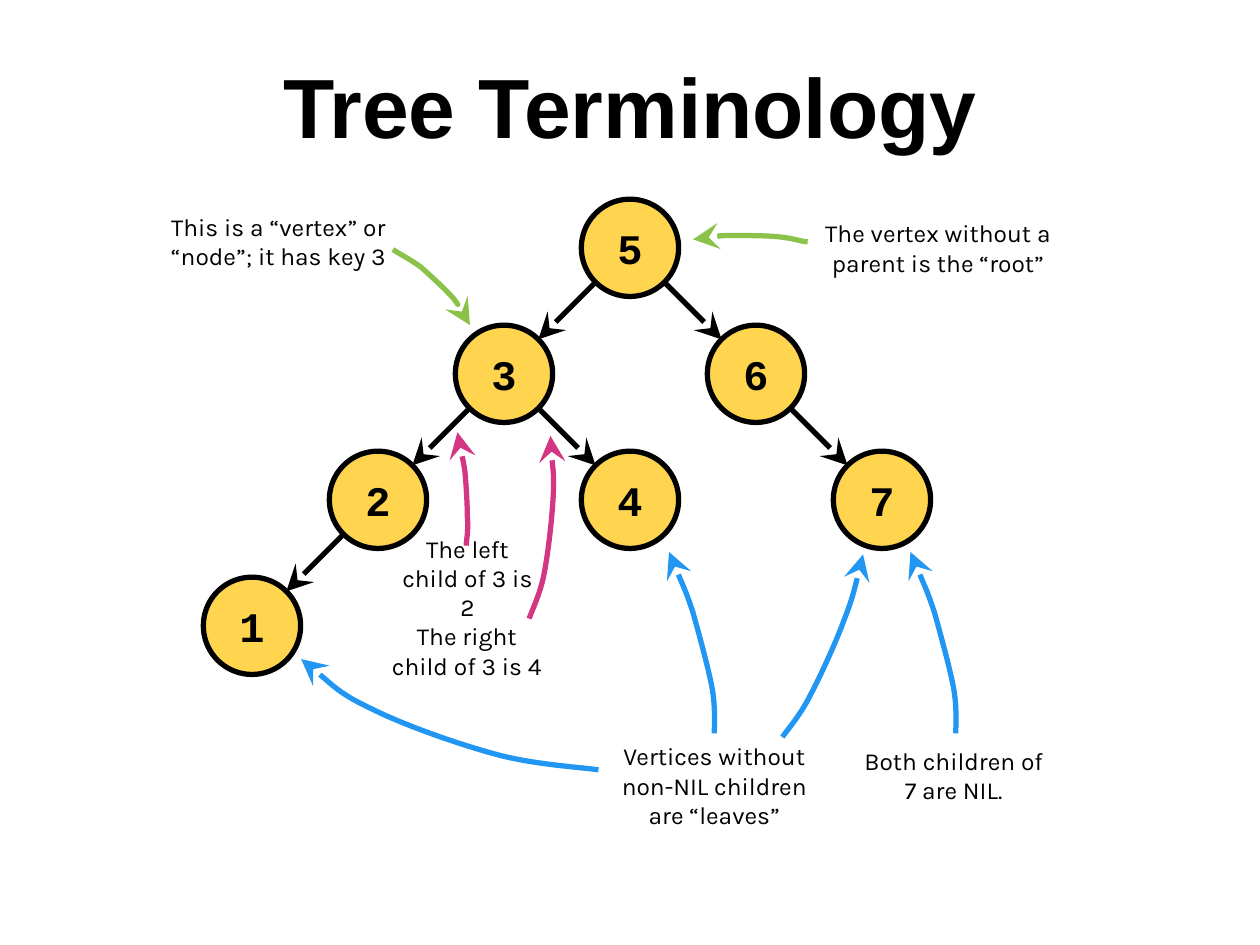
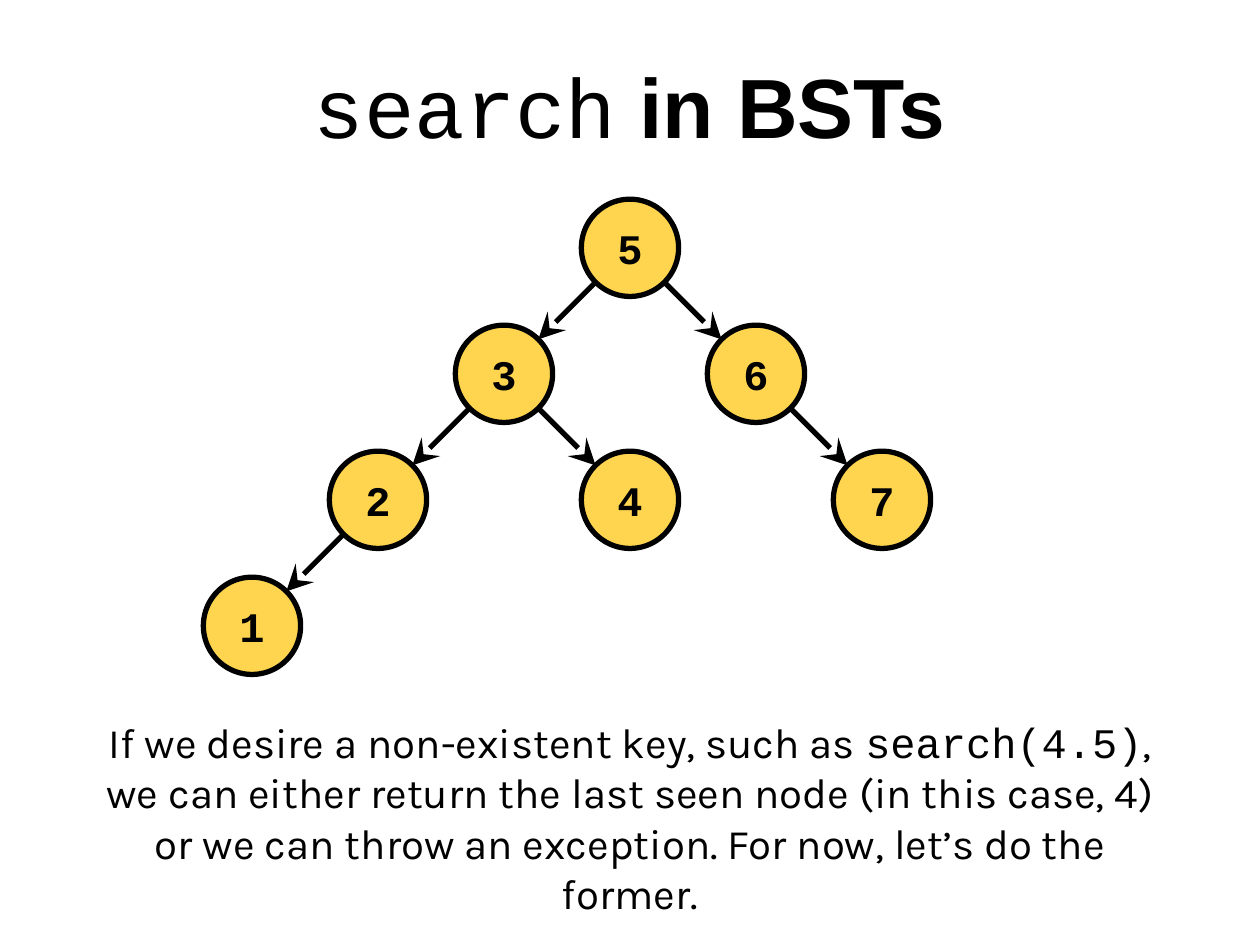
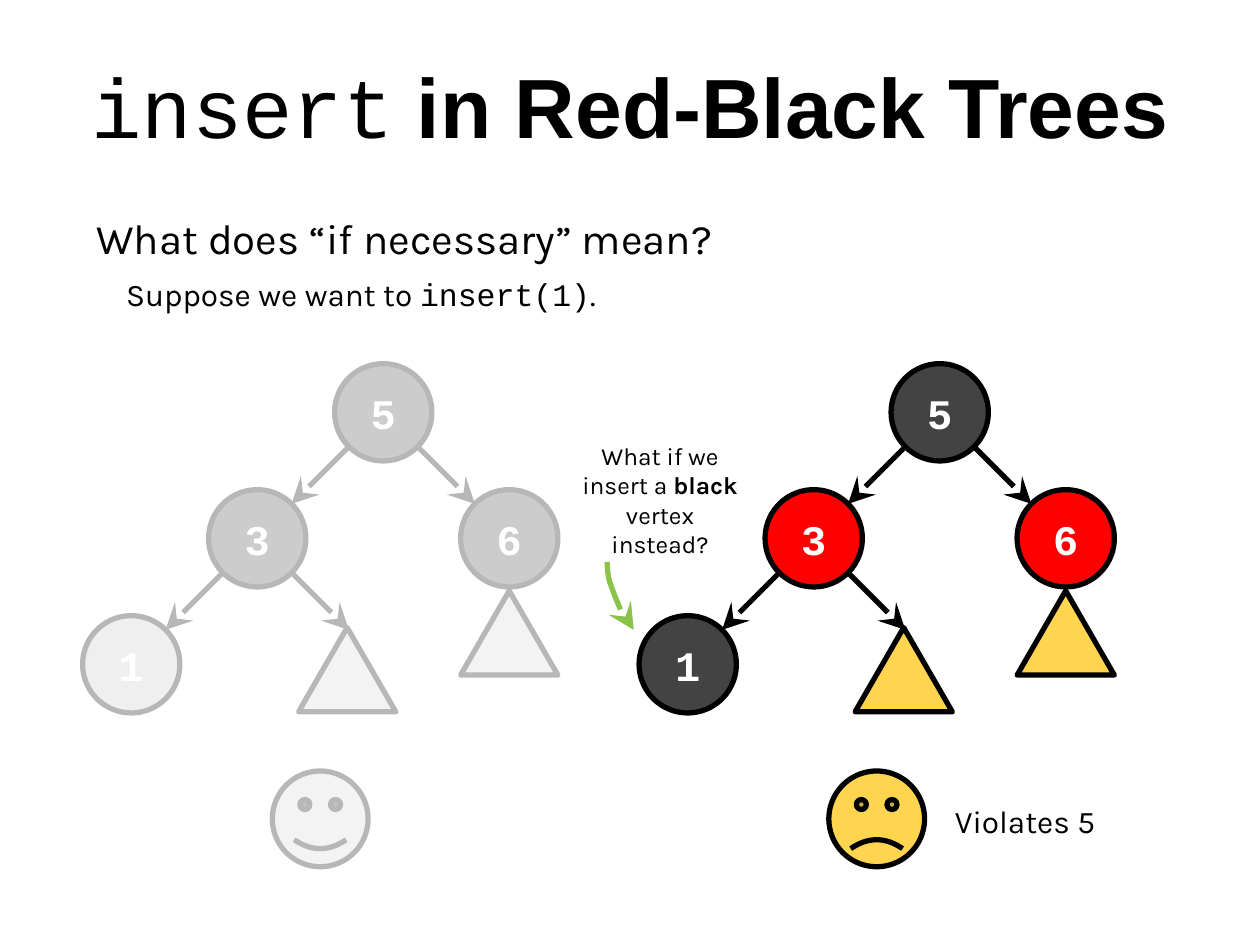
import math

from lxml import etree
from pptx import Presentation
from pptx import util as u
from pptx.dml import color
from pptx.enum import shapes, text
from pptx.oxml import ns

BLACK, WHITE, YELLOW, RED = "000000", "FFFFFF", "FFD54F", "FF0000"
CHARCOAL, SILVER, ASH, MIST, FOG = "434343", "CCCCCC", "B7B7B7", "F3F3F3", "EFEFEF"
PINK, BLUE, GREEN = "D33682", "2196F3", "8BC34A"

STEP = 72
NODE = 55.6
REACH = NODE / 2 / math.sqrt(2)
TRIANGLE_HEIGHT = 48.2
FACE = 54.7
STROKE = 3

CENTER, LEFT = text.PP_ALIGN.CENTER, text.PP_ALIGN.LEFT
MIDDLE, TOP = text.MSO_ANCHOR.MIDDLE, text.MSO_ANCHOR.TOP

TITLE = {"name": "Arial", "size": u.Pt(48), "bold": True}
TITLE_CODE = {"name": "Courier New", "size": u.Pt(48), "bold": False}
KEY = {"name": "Courier New", "size": u.Pt(24), "bold": True}
BODY = {"name": "Karla", "size": u.Pt(24)}
BODY_CODE = {"name": "Courier New", "size": u.Pt(24)}
DETAIL = {"name": "Karla", "size": u.Pt(18)}
DETAIL_CODE = {"name": "Courier New", "size": u.Pt(18)}
NOTE = {"name": "Karla", "size": u.Pt(14)}
NOTE_BOLD = {"name": "Karla", "size": u.Pt(14), "bold": True}

SEARCH_TREE = {5: (0, 0), 3: (-1, 1), 6: (1, 1), 2: (-2, 2), 4: (0, 2), 7: (2, 2), 1: (-3, 3)}
SEARCH_EDGES = [(5, 3), (3, 2), (2, 1), (5, 6), (3, 4), (6, 7)]
SEARCH_ROOT = (360, 141.6)
RED_BLACK_TREE = {5: (0, 0), 3: (-1, 1), 6: (1, 1), 1: (-2, 2)}

TO_LEAF_4 = [(408.2, 419), (408.2, 414.7), (409, 403.9), (406.8, 392.4), (404.6, 380.9),
             (399.6, 362.9), (396, 349.9), (391.7, 337), (384.5, 321.1), (382.3, 315.4)]
TO_NIL_7 = [(x + 138, y) for x, y in TO_LEAF_4]
TO_LEAF_7 = [(447.1, 421.2), (450, 416.9), (457.2, 409), (463, 397.4), (468.7, 386.6),
             (477.4, 367.9), (482.4, 354.2), (487.4, 341.3), (491.8, 323.3), (493.2, 316.8)]
TO_LEAF_1 = [(342, 439.9), (332.6, 438.5), (306, 437), (284.4, 431.3), (262.8, 425.5),
             (231.8, 414.7), (213.1, 405.4), (194.4, 396.7), (178.6, 381.6), (172.1, 376.6)]
TO_LEFT_EDGE = [(266.4, 311.8), (266.4, 309.6), (267.8, 303.1), (267.1, 295.9), (267.1, 288.7),
                (266.4, 277.2), (265.7, 269.3), (264.2, 260.6), (262.1, 250.6), (261.4, 247)]
TO_RIGHT_EDGE = [(302.4, 353.5), (303.8, 349.2), (308.9, 339.1), (311, 327.6), (313.2, 316.1),
                 (315.4, 297.4), (316.1, 284.4), (316.8, 270.7), (314.6, 254.9), (314.6, 249.1)]
TO_ROOT = [(461.5, 138.2), (458.6, 138.2), (452.9, 136.1), (445.7, 135.4), (438.5, 134.6),
           (427, 134.6), (418.3, 134.6), (410.4, 134.6), (399.6, 136.1), (396, 136.8)]
TO_NODE_3 = [(224.6, 142.6), (227.5, 144.7), (234.7, 148.3), (240.5, 152.6), (246.2, 157.7),
             (254.2, 164.9), (259.2, 170.6), (263.5, 176.4), (267.1, 183.6), (268.6, 185.8)]
TO_BLACK_1 = [(347, 321.1), (347, 322.6), (347, 327.6), (348.5, 332.6), (349.9, 337),
              (352.8, 344.2), (355, 349.2), (357.1, 353.5), (361.4, 357.8), (362.2, 360)]


def points(*lengths):
    return [u.Pt(length) for length in lengths]


def paint(target, hex_color):
    target.rgb = color.RGBColor.from_string(hex_color)


def apply_format(target, values):
    for name, value in values.items():
        setattr(target, name, value)


def stroke(line, hex_color):
    paint(line.color, hex_color)
    line.width = u.Pt(STROKE)


def add_arrowhead(shape):
    etree.SubElement(shape.line._get_or_add_ln(), ns.qn("a:tailEnd"), type="stealth", w="lg", len="lg")


def add_spans(para, spans, hex_color=BLACK):
    for words, values in spans:
        span = para.add_run()
        span.text = words
        apply_format(span.font, values)
        paint(span.font.color, hex_color)


def add_text(page, area, paras, align=CENTER, anchor=MIDDLE):
    frame = page.shapes.add_textbox(*points(*area)).text_frame
    margins = {f"margin_{side}": u.Pt(7.2) for side in ("left", "top", "right", "bottom")}
    apply_format(frame, {"word_wrap": True, "vertical_anchor": anchor, **margins})
    for index, spans in enumerate(paras):
        para = frame.add_paragraph() if index else frame.paragraphs[0]
        para.alignment = align
        add_spans(para, spans)
    return frame


def add_title(page, *spans):
    add_text(page, (0, 24, 720, 90), [spans], anchor=TOP)


def add_note(page, area, words, values=NOTE):
    add_text(page, area, [[(words, values)]])


def add_figure(page, kind, x, top, width, height, fill, outline):
    shape = page.shapes.add_shape(kind, *points(x - width / 2, top, width, height))
    shape.shadow.inherit = False
    shape.fill.solid()
    paint(shape.fill.fore_color, fill)
    stroke(shape.line, outline)
    return shape


def add_node(page, x, y, key, fill, outline, key_color):
    node = add_figure(page, shapes.MSO_SHAPE.OVAL, x, y - NODE / 2, NODE, NODE, fill, outline)
    node.text_frame.vertical_anchor = MIDDLE
    para = node.text_frame.paragraphs[0]
    para.alignment = CENTER
    add_spans(para, [(str(key), KEY)], key_color)


def add_edge(page, parent, child, hex_color):
    side = math.copysign(REACH, child[0] - parent[0])
    ends = points(parent[0] + side, parent[1] + REACH, child[0] - side, child[1] - REACH)
    edge = page.shapes.add_connector(shapes.MSO_CONNECTOR.STRAIGHT, *ends)
    stroke(edge.line, hex_color)
    add_arrowhead(edge)
    etree.SubElement(edge._element.spPr, ns.qn("a:effectLst"))


def add_curve(page, knots, hex_color):
    start, *rest = [points(*knot) for knot in knots]
    builder = page.shapes.build_freeform(*start)
    builder.add_line_segments(rest, close=False)
    curve = builder.convert_to_shape()
    outline = curve._element.find(".//" + ns.qn("a:path"))
    for index, segment in enumerate(outline.findall(ns.qn("a:lnTo"))):
        if index % 3 == 0:
            bezier = etree.SubElement(outline, ns.qn("a:cubicBezTo"))
        bezier.append(segment[0])
        outline.remove(segment)
    curve.shadow.inherit = False
    curve.fill.background()
    stroke(curve.line, hex_color)
    add_arrowhead(curve)


def add_tree(page, root, places, edges, fills, outline, key_color):
    def spot(place):
        return root[0] + place[0] * STEP, root[1] + place[1] * STEP

    for key, place in places.items():
        add_node(page, *spot(place), key, fills[key], outline, key_color)
    for parent, child in edges:
        add_edge(page, spot(places[parent]), spot(places.get(child, (0, 2))), outline)


def add_search_tree(page):
    fills = dict.fromkeys(SEARCH_TREE, YELLOW)
    add_tree(page, SEARCH_ROOT, SEARCH_TREE, SEARCH_EDGES, fills, BLACK, BLACK)


def add_red_black_tree(page, x, fills, subtree_fill, outline, smile):
    y = 235.6
    edges = [(5, 3), (5, 6), (3, "subtree"), (3, 1)]
    add_tree(page, (x, y), RED_BLACK_TREE, edges, fills, outline, WHITE)
    for across, down in ((-20.6, 123), (STEP, 102)):
        add_figure(page, shapes.MSO_SHAPE.ISOSCELES_TRIANGLE, x + across, y + down,
                   NODE, TRIANGLE_HEIGHT, subtree_fill, outline)
    face = add_figure(page, shapes.MSO_SHAPE.SMILEY_FACE, x - STEP / 2, 440.6,
                      FACE, FACE, subtree_fill, outline)
    face.adjustments[0] = smile


def build_terminology(page):
    add_title(page, ("Tree Terminology", TITLE))
    add_search_tree(page)
    add_note(page, (221, 312.5, 92.2, 35.3), "The left child of 3 is 2")
    add_note(page, (215.3, 354.2, 103, 35.3), "The right child of 3 is 4")
    add_note(page, (346.3, 421.2, 123.8, 55.4), "Vertices without non-NIL children are “leaves”")
    add_note(page, (463.7, 123.8, 144.7, 35.3), "The vertex without a parent is the “root”")
    add_note(page, (72, 120.2, 174.2, 35.3), "This is a “vertex” or “node”; it has key 3")
    add_note(page, (483.1, 415.4, 123.8, 55.4), "Both children of 7 are NIL.")
    for hex_color, curves in ((PINK, (TO_LEFT_EDGE, TO_RIGHT_EDGE)),
                              (BLUE, (TO_LEAF_1, TO_LEAF_4, TO_LEAF_7, TO_NIL_7)),
                              (GREEN, (TO_ROOT, TO_NODE_3))):
        for knots in curves:
            add_curve(page, knots, hex_color)


def build_search(page):
    add_title(page, ("search", TITLE_CODE), (" in BSTs", TITLE))
    add_text(page, (48, 402.3, 624, 137.7), [[
        ("If we desire a non-existent key, such as ", BODY),
        ("search(4.5)", BODY_CODE),
        (", we can either return the last seen node (in this case, 4) or we can throw "
         "an exception. For now, let’s do the former.", BODY),
    ]], anchor=TOP)
    add_search_tree(page)


def build_insert(page):
    add_title(page, ("insert", TITLE_CODE), (" in Red-Black Trees", TITLE))
    frame = add_text(page, (48, 114, 624, 80), [
        [("What does “if necessary” mean?", BODY)],
        [("Suppose we want to ", DETAIL), ("insert(1)", DETAIL_CODE), (".", DETAIL)],
    ], LEFT, TOP)
    detail = frame.paragraphs[1]
    detail.space_before = u.Pt(7)
    detail._p.get_or_add_pPr().set("marL", str(u.Pt(17)))

    faded = {5: SILVER, 3: SILVER, 6: SILVER, 1: FOG}
    vivid = {5: CHARCOAL, 3: RED, 6: RED, 1: CHARCOAL}
    add_red_black_tree(page, 219, faded, MIST, ASH, 0.047)
    add_red_black_tree(page, 537, vivid, YELLOW, BLACK, -0.047)
    add_note(page, (526.3, 449.3, 118.8, 39.6), "Violates 5", DETAIL)
    add_curve(page, TO_BLACK_1, GREEN)
    add_text(page, (325.4, 254.9, 103.7, 61.2), [
        [("What if we", NOTE)],
        [("insert a ", NOTE), ("black", NOTE_BOLD)],
        [("vertex instead?", NOTE)],
    ])


def main():
    deck = Presentation()
    apply_format(deck, {"slide_width": u.Pt(720), "slide_height": u.Pt(540)})
    for build in (build_terminology, build_search, build_insert):
        build(deck.slides.add_slide(deck.slide_layouts[6]))
    deck.save("out.pptx")


if __name__ == "__main__":
    main()
